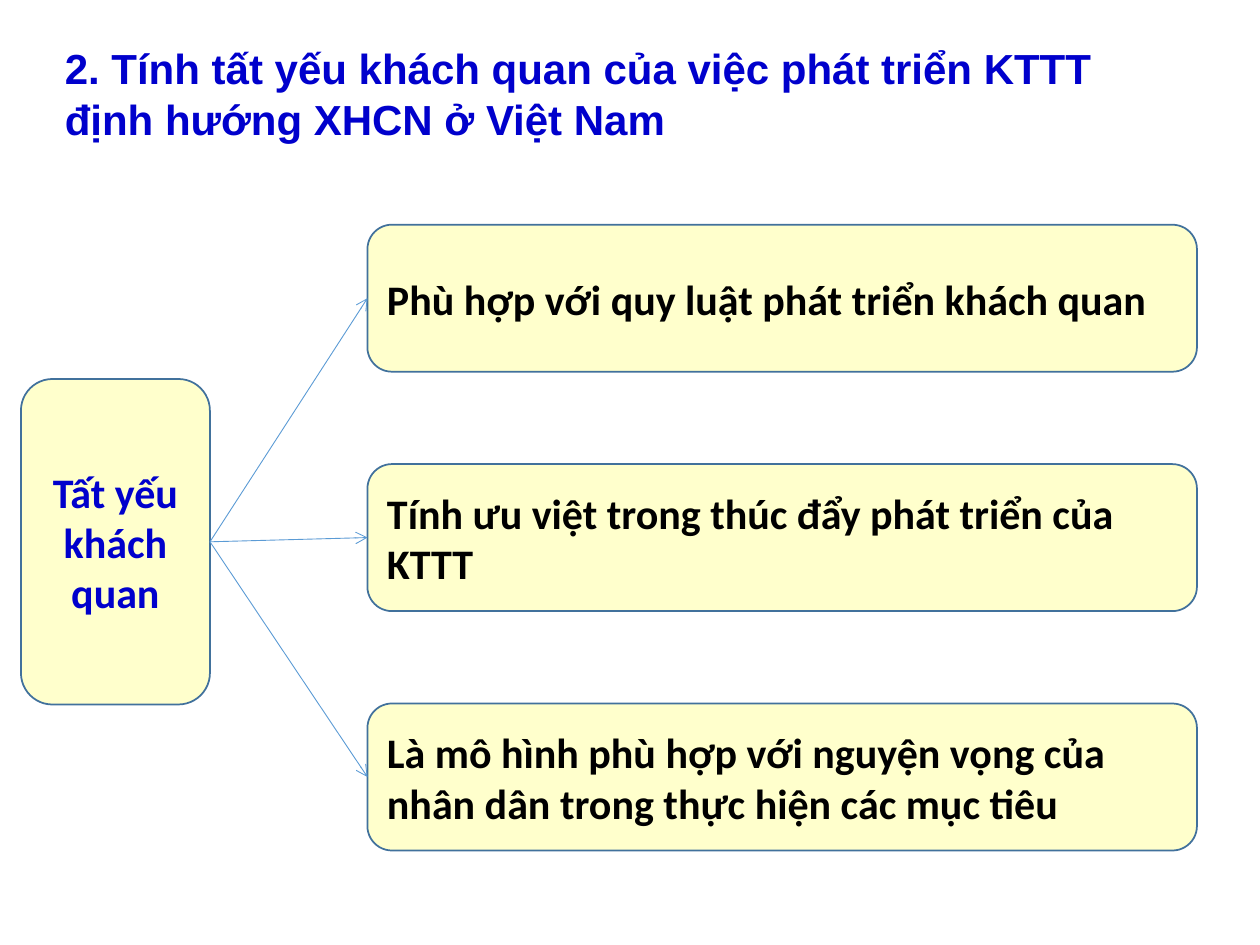
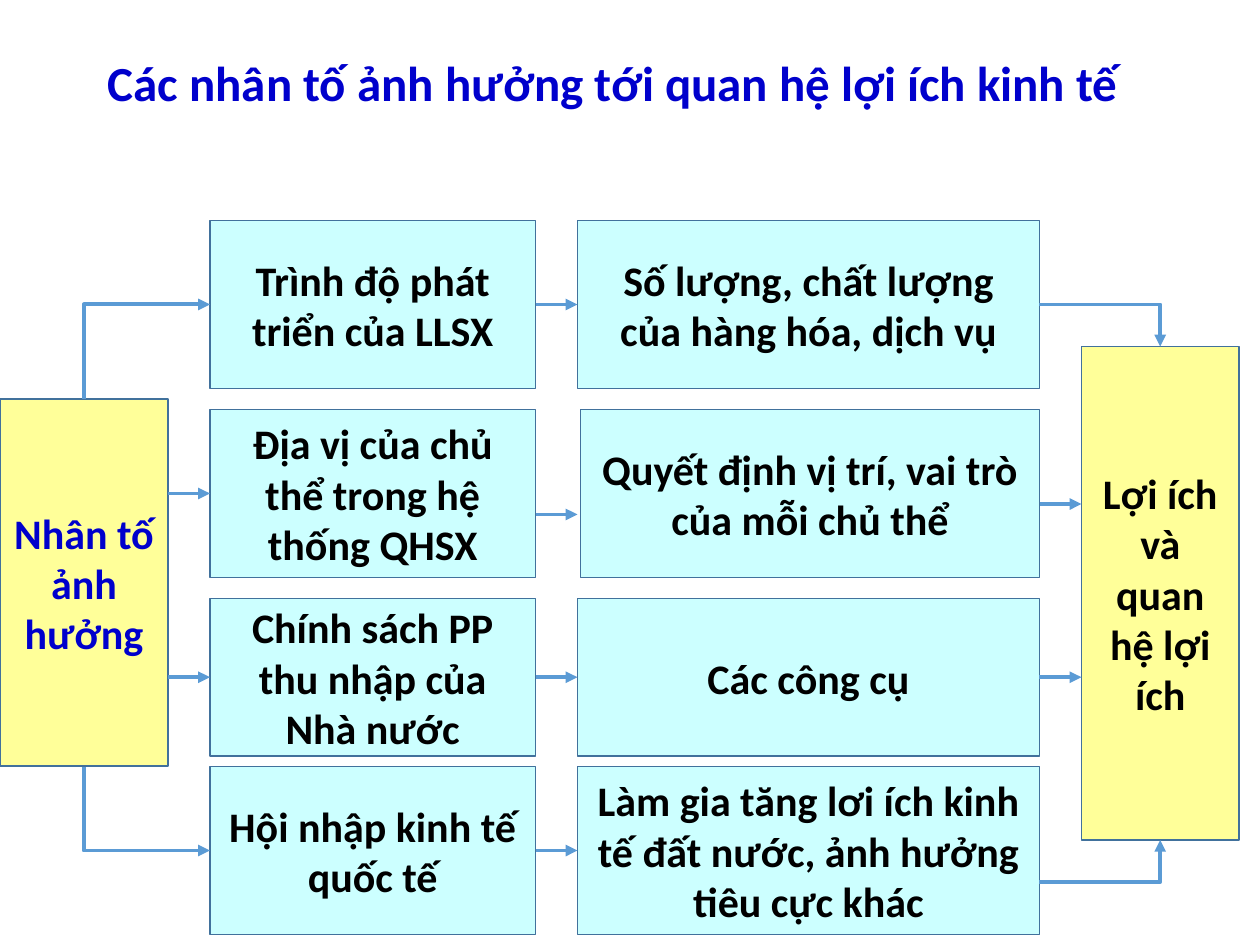
import dataclasses
import typing

import lxml.etree
import pptx
import pptx.dml.color
import pptx.enum.shapes
import pptx.enum.text
import pptx.oxml.ns
import pptx.util

SLIDE_WIDTH, SLIDE_HEIGHT = 10, 7.5
COLUMNS, ROWS = 120, 90
COLORS = {
    "title": "0000CC",
    "text": "000000",
    "cream": "FFFFCC",
    "yellow": "FFFF99",
    "cyan": "CCFFFF",
    "border": "41719C",
    "arrow": "5B9BD5",
}
ALIGN = pptx.enum.text.PP_ALIGN
ANCHOR = pptx.enum.text.MSO_ANCHOR
SHAPE = pptx.enum.shapes.MSO_SHAPE
CONNECTOR = pptx.enum.shapes.MSO_CONNECTOR
TOP, LEFT, BOTTOM, RIGHT = range(4)
Point = tuple[float, float]


@dataclasses.dataclass(frozen=True)
class Area:
    left: float
    top: float
    width: float
    height: float

    def side(self, site: int) -> Point:
        middle = (self.left + self.width / 2, self.top + self.height / 2)
        return {
            TOP: (middle[0], self.top),
            LEFT: (self.left, middle[1]),
            BOTTOM: (middle[0], self.top + self.height),
            RIGHT: (self.left + self.width, middle[1]),
        }[site]


@dataclasses.dataclass(frozen=True)
class Node:
    area: Area
    text: str
    fill: str
    color: str = "text"
    align: ALIGN = ALIGN.CENTER
    preset: SHAPE = SHAPE.RECTANGLE


@dataclasses.dataclass(frozen=True)
class ArrowStyle:
    width: float
    head: str


@dataclasses.dataclass(frozen=True)
class FactorRow:
    top: float
    height: float
    factor: str
    effect: str
    effect_left: float = 55


THIN_ARROW = ArrowStyle(0.5, "arrow")
BOLD_ARROW = ArrowStyle(2.25, "triangle")


def across(columns: float) -> int:
    return pptx.util.Inches(columns * SLIDE_WIDTH / COLUMNS)


def down(rows: float) -> int:
    return pptx.util.Inches(rows * SLIDE_HEIGHT / ROWS)


def place(area: Area) -> tuple[int, int, int, int]:
    return across(area.left), down(area.top), across(area.width), down(area.height)


def rgb(name: str) -> pptx.dml.color.RGBColor:
    return pptx.dml.color.RGBColor.from_string(COLORS[name])


def write(box: typing.Any, text: str, *, size: float = 24, font: str = "Calibri",
          color: str = "text", align: ALIGN = ALIGN.LEFT,
          anchor: ANCHOR = ANCHOR.MIDDLE, spacing: float = 1) -> None:
    frame = box.text_frame
    frame.word_wrap = True
    frame.vertical_anchor = anchor
    para = frame.paragraphs[0]
    para.alignment = align
    para.line_spacing = spacing
    span = para.add_run()
    span.text = text
    span.font.size = pptx.util.Pt(size)
    span.font.name = font
    span.font.bold = True
    span.font.color.rgb = rgb(color)


def add_title(page: typing.Any, area: Area, text: str, **text_format: typing.Any) -> None:
    box = page.shapes.add_textbox(*place(area))
    write(box, text, color="title", anchor=ANCHOR.TOP, **text_format)


def add_node(page: typing.Any, node: Node) -> typing.Any:
    box = page.shapes.add_shape(node.preset, *place(node.area))
    box.shadow.inherit = False
    box.fill.solid()
    box.fill.fore_color.rgb = rgb(node.fill)
    box.line.color.rgb = rgb("border")
    box.line.width = pptx.util.Pt(1)
    write(box, node.text, color=node.color, align=node.align)
    return box


def style_arrow(connector: typing.Any, style: ArrowStyle) -> None:
    connector.line.color.rgb = rgb("arrow")
    connector.line.width = pptx.util.Pt(style.width)
    properties = connector._element.spPr
    qn = pptx.oxml.ns.qn
    lxml.etree.SubElement(properties.find(qn("a:ln")), qn("a:tailEnd"), type=style.head)
    lxml.etree.SubElement(properties, qn("a:effectLst"))


def add_arrow(page: typing.Any, start: Point, end: Point, style: ArrowStyle,
              source: typing.Any = None, target: typing.Any = None) -> None:
    connector = page.shapes.add_connector(
        CONNECTOR.STRAIGHT, across(start[0]), down(start[1]), across(end[0]), down(end[1]))
    if source is not None:
        connector.begin_connect(source, RIGHT)
    if target is not None:
        connector.end_connect(target, LEFT)
    style_arrow(connector, style)


def add_elbow(page: typing.Any, start: Point, end: Point, style: ArrowStyle,
              vertical_first: bool = False) -> None:
    begin_x, begin_y = across(start[0]), down(start[1])
    end_x, end_y = across(end[0]), down(end[1])
    turn = 0
    if vertical_first:
        goes_down = end_y > begin_y
        turn = 270 if goes_down else 90
        middle_x, middle_y = (begin_x + end_x) // 2, (begin_y + end_y) // 2
        half_x = abs(end_y - begin_y) // 2
        half_y = (end_x - begin_x) // 2 * (1 if goes_down else -1)
        begin_x, begin_y = middle_x + half_x, middle_y - half_y
        end_x, end_y = middle_x - half_x, middle_y + half_y
    connector = page.shapes.add_connector(CONNECTOR.ELBOW, begin_x, begin_y, end_x, end_y)
    properties = connector._element.spPr
    properties.find(pptx.oxml.ns.qn("a:prstGeom")).set("prst", "bentConnector2")
    if turn:
        properties.find(pptx.oxml.ns.qn("a:xfrm")).set("rot", str(turn * 60000))
    style_arrow(connector, style)


def build_necessity(page: typing.Any) -> None:
    add_title(page, Area(5, 3.5, 109, 10.8),
              "2. Tính tất yếu khách quan của việc phát triển KTTT định hướng XHCN ở Việt Nam",
              font="Arial")
    root = Node(Area(2, 36.1, 18, 31), "Tất yếu khách quan", "cream", "title",
                preset=SHAPE.ROUNDED_RECTANGLE)
    root_box = add_node(page, root)
    reasons = [
        "Phù hợp với quy luật phát triển khách quan",
        "Tính ưu việt trong thúc đẩy phát triển của KTTT",
        "Là mô hình phù hợp với nguyện vọng của nhân dân trong thực hiện các mục tiêu",
    ]
    for index, text in enumerate(reasons):
        reason = Node(Area(35, 21.4 + 22.8 * index, 79, 14), text, "cream",
                      align=ALIGN.LEFT, preset=SHAPE.ROUNDED_RECTANGLE)
        reason_box = add_node(page, reason)
        add_arrow(page, root.area.side(RIGHT), reason.area.side(LEFT), THIN_ARROW,
                  root_box, reason_box)


def build_factors(page: typing.Any) -> None:
    add_title(page, Area(9.1, 5, 108, 8),
              "Các nhân tố ảnh hưởng tới quan hệ lợi ích kinh tế", size=28, spacing=0.9)
    root = Node(Area(0, 38, 16, 35), "Nhân tố ảnh hưởng", "yellow", "title")
    outcome = Node(Area(103, 33, 15, 47), "Lợi ích và quan hệ lợi ích", "yellow")
    for node in (root, outcome):
        add_node(page, node)
    rows = [
        FactorRow(21, 16, "Trình độ phát triển của LLSX",
                  "Số lượng, chất lượng của hàng hóa, dịch vụ"),
        FactorRow(39, 16, "Địa vị của chủ thể trong hệ thống QHSX",
                  "Quyết định vị trí, vai trò của mỗi chủ thể", 55.3),
        FactorRow(57, 15, "Chính sách PP thu nhập của Nhà nước", "Các công cụ"),
        FactorRow(73, 16, "Hội nhập kinh tế quốc tế",
                  "Làm gia tăng lơi ích kinh tế đất nước, ảnh hưởng tiêu cực khác"),
    ]
    factors, effects = [], []
    for row in rows:
        factor = Node(Area(20, row.top, 31, row.height), row.factor, "cyan")
        effect = Node(Area(row.effect_left, row.top, 99 - row.effect_left, row.height),
                      row.effect, "cyan")
        factors.append((factor.area, add_node(page, factor)))
        effects.append((effect.area, add_node(page, effect)))

    for index in (0, 2, 3):
        (factor_area, factor_box), (effect_area, effect_box) = factors[index], effects[index]
        add_arrow(page, factor_area.side(RIGHT), effect_area.side(LEFT), BOLD_ARROW,
                  factor_box, effect_box)
    add_arrow(page, (51, 49), (55, 49), BOLD_ARROW)

    for area, box in factors[1:3]:
        end = area.side(LEFT)
        add_arrow(page, (16, end[1]), end, BOLD_ARROW, target=box)
    for area, _ in (factors[0], factors[3]):
        end = area.side(LEFT)
        site = TOP if end[1] < root.area.top else BOTTOM
        add_elbow(page, root.area.side(site), end, BOLD_ARROW, vertical_first=True)

    add_arrow(page, (99, 48), (103, 48), BOLD_ARROW)
    tools_area, tools_box = effects[2]
    tools_exit = tools_area.side(RIGHT)
    add_arrow(page, tools_exit, (103, tools_exit[1]), BOLD_ARROW, source=tools_box)
    for level, site in ((29, TOP), (84, BOTTOM)):
        add_elbow(page, (99, level), outcome.area.side(site), BOLD_ARROW)


def main() -> None:
    deck = pptx.Presentation()
    deck.slide_width = pptx.util.Inches(SLIDE_WIDTH)
    deck.slide_height = pptx.util.Inches(SLIDE_HEIGHT)
    for build in (build_necessity, build_factors):
        build(deck.slides.add_slide(deck.slide_layouts[6]))
    deck.save("out.pptx")


if __name__ == "__main__":
    main()
